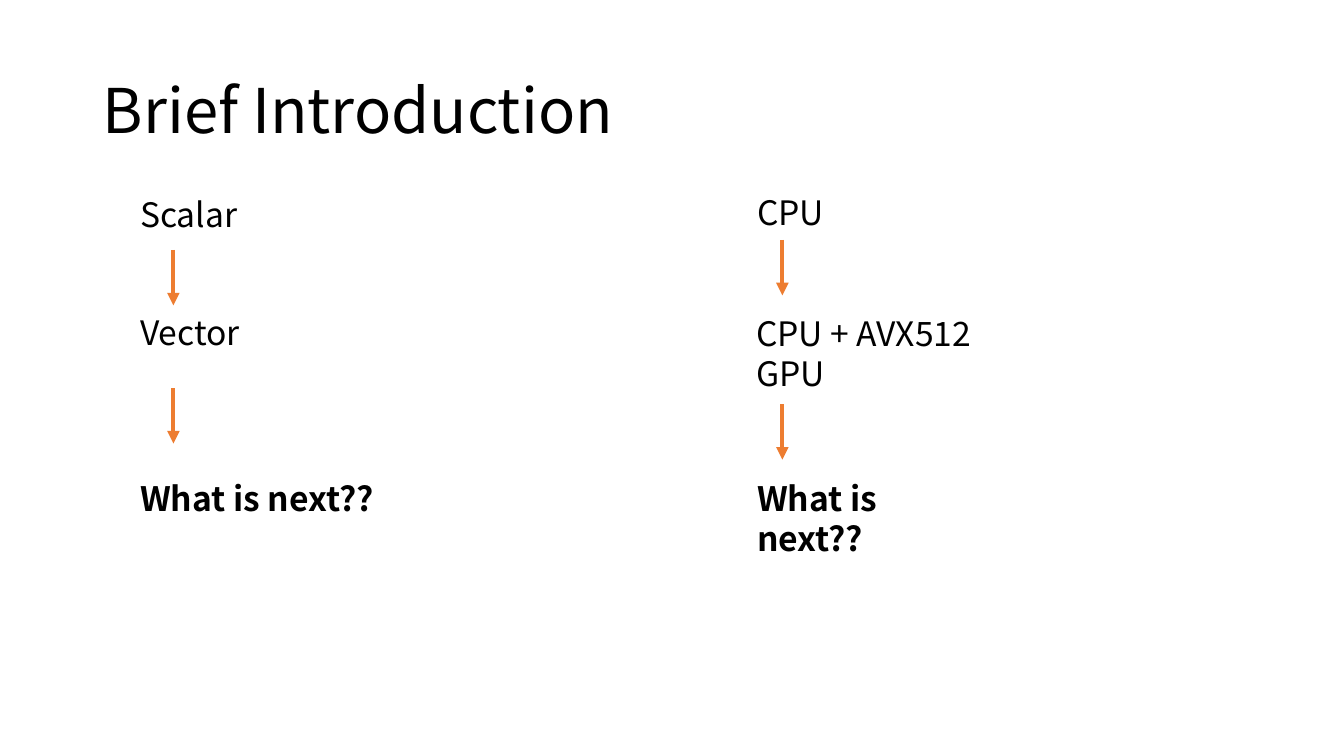
from lxml import etree
from pptx import Presentation
from pptx import util as u
from pptx.dml.color import RGBColor
from pptx.enum import shapes, text
from pptx.oxml.ns import qn

PX = 9144  # EMU per px, 100 px to the inch
FONT = "Noto Sans CJK SC"
HUES = {"ink": "000000", "arrow": "ED7D31"}


def hue(name):
    return RGBColor.from_string(HUES[name])


class Deck:
    def __init__(self, wide, high):
        self.prs = Presentation()
        self.prs.slide_width = wide * PX
        self.prs.slide_height = high * PX
        self.slide = self.prs.slides.add_slide(self.prs.slide_layouts[5])

    def style(self, par, size, bold=False):
        par.alignment = text.PP_ALIGN.LEFT
        font = par.font
        font.name, font.size, font.bold = FONT, u.Pt(size), bold
        font.color.rgb = hue("ink")

    def title(self, words, left, top, wide, high):
        box = self.slide.shapes.title
        box.left, box.top = left * PX, top * PX
        box.width, box.height = wide * PX, high * PX
        frame = box.text_frame
        frame.text = words
        frame.vertical_anchor = text.MSO_ANCHOR.MIDDLE
        self.style(frame.paragraphs[0], 44)
        frame.paragraphs[0].line_spacing = 0.9

    def label(self, words, left, top, wide, high=50, bold=False):
        box = self.slide.shapes.add_textbox(
            left * PX, top * PX, wide * PX, high * PX)
        frame = box.text_frame
        frame.word_wrap = True
        frame.auto_size = text.MSO_AUTO_SIZE.SHAPE_TO_FIT_TEXT
        frame.text = words
        for par in frame.paragraphs:
            self.style(par, 24, bold)

    def arrow(self, x, top, high=55):
        line = self.slide.shapes.add_connector(
            shapes.MSO_CONNECTOR.STRAIGHT,
            x * PX, top * PX, x * PX, (top + high) * PX)
        line.line.color.rgb = hue("arrow")
        line.line.width = u.Pt(3)
        tail = etree.SubElement(line.line._get_or_add_ln(), qn("a:tailEnd"))
        tail.set("type", "triangle")
        etree.SubElement(line._element.spPr, qn("a:effectLst"))


def main():
    deck = Deck(1333, 750)
    deck.title("Brief Introduction", 92, 40, 1150, 145)

    # Data shapes
    deck.label("Scalar", 129, 187, 152)
    deck.label("Vector", 129, 305, 152)
    deck.label("What is next??", 129, 469, 262, bold=True)

    # Hardware
    deck.label("CPU", 741, 185, 152)
    deck.label("CPU + AVX512\nGPU", 740, 305, 265, 91)
    deck.label("What is next??", 741, 469, 229, 91, bold=True)

    # Steps from one stage to the next
    for x, tops in ((172, (248, 385)), (776, (238, 401))):
        for top in tops:
            deck.arrow(x, top)

    deck.prs.save("out.pptx")


if __name__ == "__main__":
    main()
